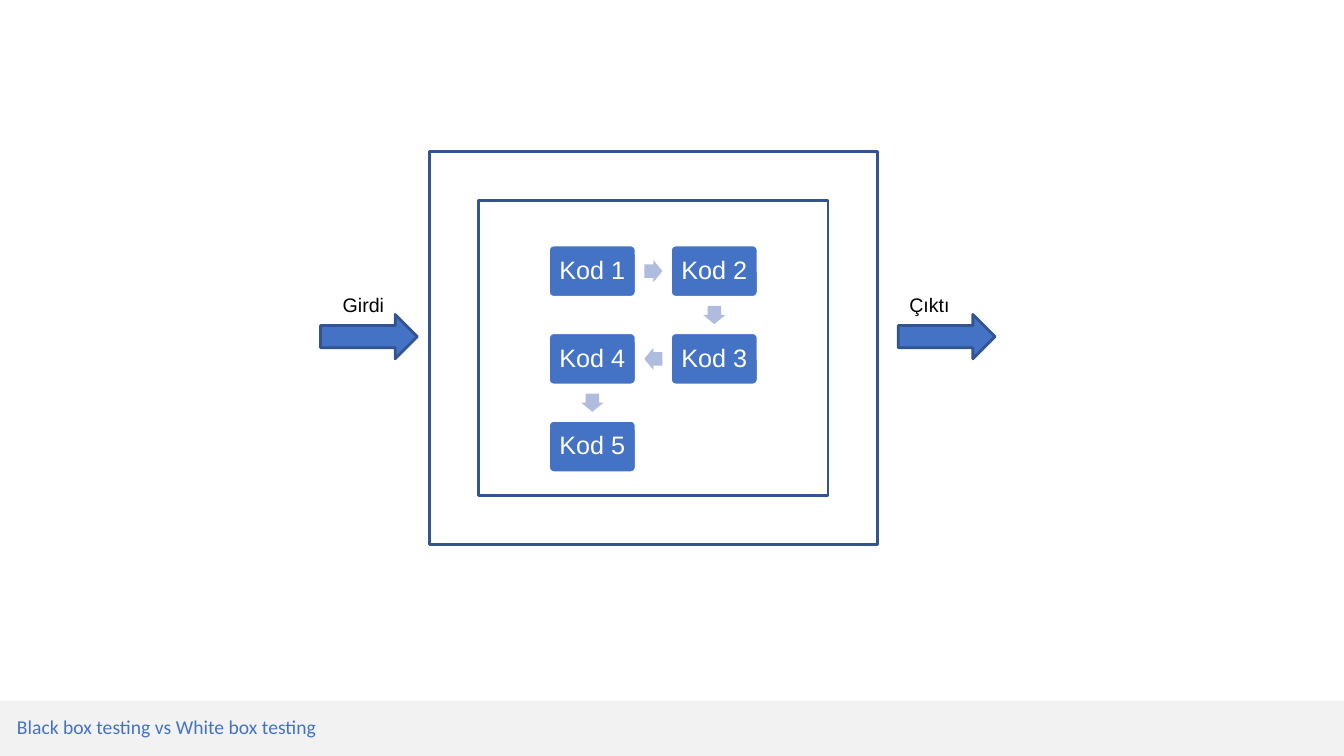
from dataclasses import dataclass

from pptx import Presentation
from pptx import util as u
from pptx.dml.color import RGBColor
from pptx.enum import shapes, text


@dataclass(frozen=True)
class Theme:
    blue: str = "4472C4"
    outline: str = "325491"
    pale_blue: str = "B0BCDE"
    grey: str = "F2F2F2"
    white: str = "FFFFFF"
    black: str = "000000"
    body_font: str = "Arial"
    footer_font: str = "Calibri"
    code_size: int = 18
    label_size: int = 14
    line_width: int = 2


class SlideBuilder:
    def __init__(self, page, theme):
        self.page = page
        self.theme = theme

    def shape(self, kind, left, top, width, height, fill, line=None, rotation=0):
        shape = self.page.shapes.add_shape(
            kind, *map(u.Inches, (left, top, width, height)))
        shape.shadow.inherit = False
        shape.rotation = rotation
        shape.fill.solid()
        shape.fill.fore_color.rgb = RGBColor.from_string(fill)
        if line:
            shape.line.color.rgb = RGBColor.from_string(line)
            shape.line.width = u.Pt(self.theme.line_width)
        else:
            shape.line.fill.background()
        return shape

    def set_words(self, shape, words, size, color, font, frame_format, para_format):
        frame = shape.text_frame
        para = frame.paragraphs[0]
        span = para.add_run()
        span.text = words
        span.font.color.rgb = RGBColor.from_string(color)
        span_format = {"size": u.Pt(size), "name": font}
        for target, values in ((frame, frame_format), (para, para_format),
                               (span.font, span_format)):
            for name, value in values.items():
                setattr(target, name, value)

    def code_box(self, words, left, top, width, height):
        theme = self.theme
        box = self.shape(shapes.MSO_SHAPE.ROUNDED_RECTANGLE,
                         left, top, width, height, theme.blue, theme.white)
        box.adjustments[0] = 0.1
        margins = ("margin_left", "margin_right", "margin_top", "margin_bottom")
        frame_format = {name: u.Inches(0.07) for name in margins}
        frame_format["vertical_anchor"] = text.MSO_ANCHOR.MIDDLE
        self.set_words(box, words, theme.code_size, theme.white, theme.body_font,
                       frame_format,
                       {"alignment": text.PP_ALIGN.CENTER, "line_spacing": 0.9})

    def step_arrow(self, center_x, center_y, rotation):
        width, height = 0.18, 0.22
        arrow = self.shape(shapes.MSO_SHAPE.RIGHT_ARROW,
                           center_x - width / 2, center_y - height / 2,
                           width, height, self.theme.pale_blue, rotation=rotation)
        arrow.adjustments[0] = 0.6

    def label(self, words, left, top, width, height, color, font,
              frame_format, para_format):
        box = self.page.shapes.add_textbox(
            *map(u.Inches, (left, top, width, height)))
        self.set_words(box, words, self.theme.label_size, color, font,
                       frame_format, para_format)


def main():
    deck = Presentation()
    deck.slide_width, deck.slide_height = u.Inches(13.33), u.Inches(7.5)
    theme = Theme()
    builder = SlideBuilder(deck.slides.add_slide(deck.slide_layouts[6]), theme)

    # Footer band with the title
    builder.shape(shapes.MSO_SHAPE.RECTANGLE, 0, 6.95, 13.33, 0.55, theme.grey)
    builder.label("Black box testing vs White box testing", 0.07, 7.01, 5.64, 0.37,
                  theme.blue, theme.footer_font,
                  {"word_wrap": True, "vertical_anchor": text.MSO_ANCHOR.BOTTOM},
                  {"line_spacing": 0.9})

    # Code steps on a grid, walked in a snake
    box_width, box_height = 0.87, 0.52
    cells = [(0, 0), (1, 0), (1, 1), (0, 1), (0, 2)]
    corners = [(5.44 + 1.21 * column, 2.43 + 0.87 * row) for column, row in cells]
    for number, (left, top) in enumerate(corners, 1):
        builder.code_box(f"Kod {number}", left, top, box_width, box_height)

    # Arrows halfway between successive steps
    for start, end, rotation in zip(corners, corners[1:], (0, 90, 180, 90)):
        builder.step_arrow((start[0] + end[0] + box_width) / 2,
                           (start[1] + end[1] + box_height) / 2, rotation)

    # Frame around the code
    builder.shape(shapes.MSO_SHAPE.FRAME, 4.26, 1.5, 4.44, 3.9,
                  theme.white, theme.outline)

    # Input and output
    for words, arrow_left, label_left in (("Girdi", 3.18, 3.3),
                                          ("Çıktı", 8.91, 8.92)):
        builder.shape(shapes.MSO_SHAPE.RIGHT_ARROW, arrow_left, 3.12, 0.96, 0.44,
                      theme.blue, theme.outline)
        builder.label(words, label_left, 2.86, 0.62, 0.34,
                      theme.black, theme.body_font,
                      {"word_wrap": False,
                       "auto_size": text.MSO_AUTO_SIZE.SHAPE_TO_FIT_TEXT}, {})

    deck.save("out.pptx")


if __name__ == "__main__":
    main()
